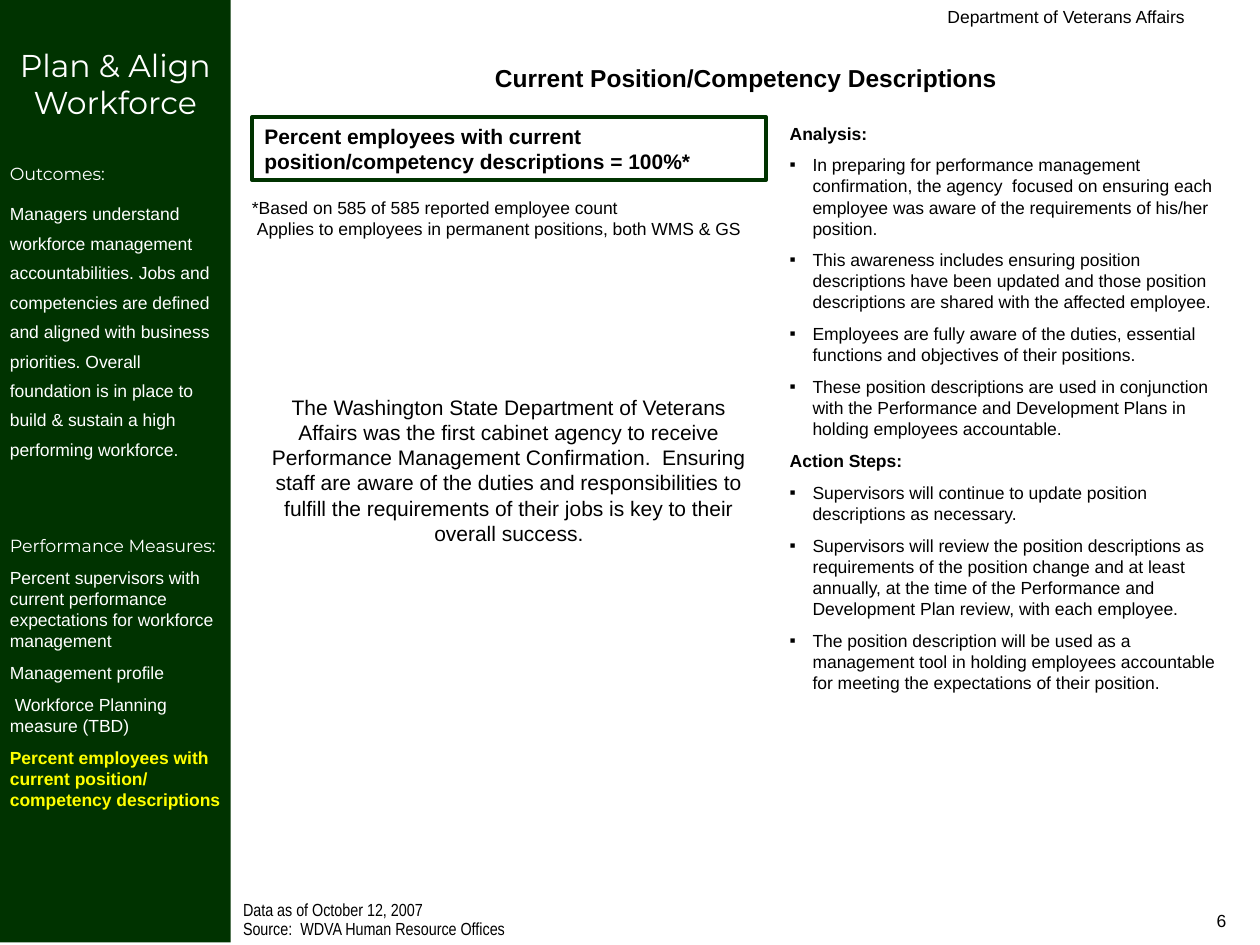
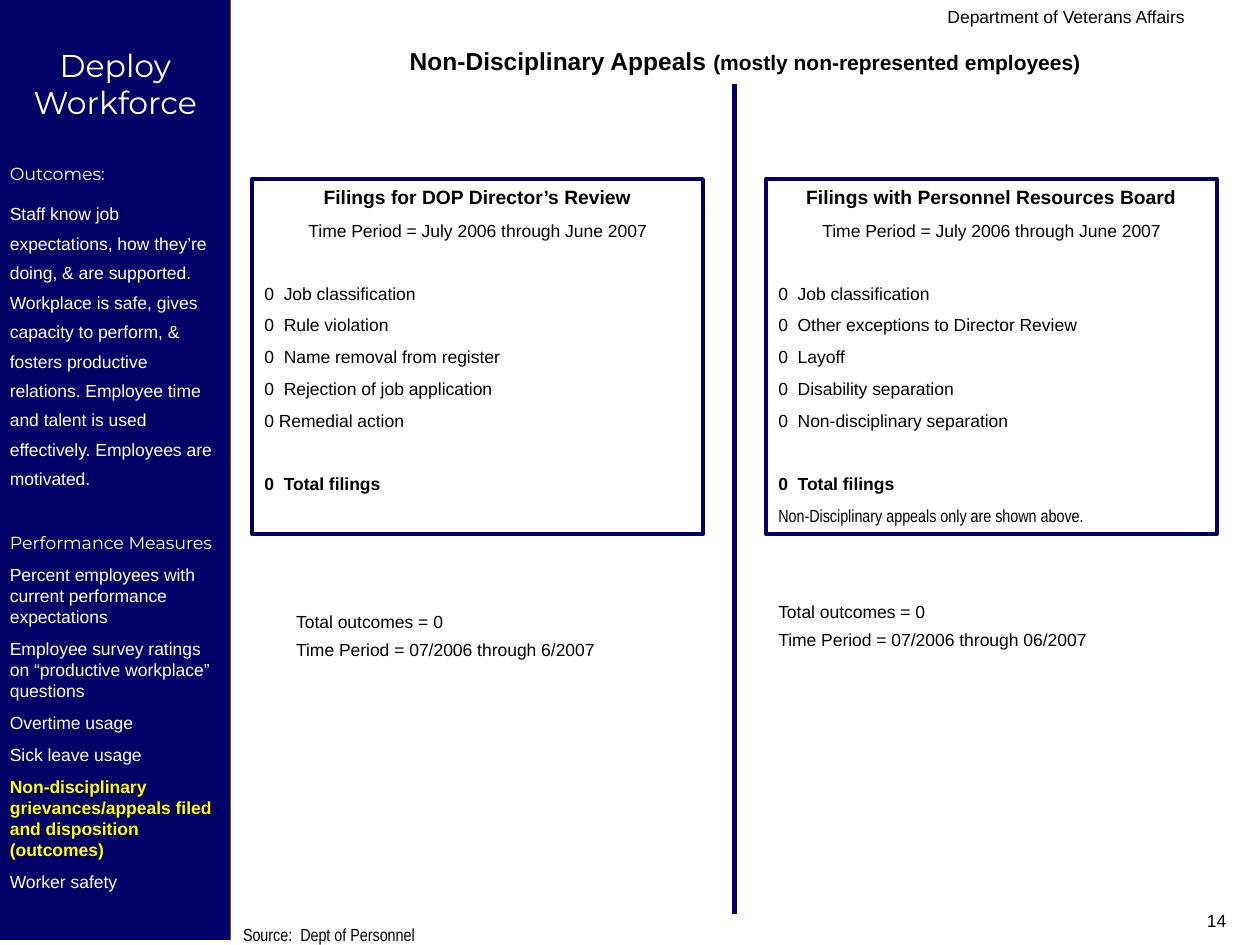
from lxml.etree import SubElement
from pptx import Presentation
from pptx.dml.color import RGBColor
from pptx.enum.shapes import MSO_CONNECTOR as Link, MSO_SHAPE as Form
from pptx.enum.text import MSO_ANCHOR as Anchor, MSO_AUTO_SIZE as Auto, PP_ALIGN as Align
from pptx.oxml.ns import qn
from pptx.util import Cm, Pt

BLACK = RGBColor(0x00, 0x00, 0x00)
WHITE = RGBColor(0xFF, 0xFF, 0xFF)
YELLOW = RGBColor(0xFF, 0xFF, 0x00)
GREEN = RGBColor(0x00, 0x33, 0x00)
NAVY = RGBColor(0x00, 0x00, 0x66)
SANS, SLIM, HEAD = "Arial", "Arial Narrow", "Montserrat"
MID, RIGHT = Align.CENTER, Align.RIGHT
GAP = 6.2     # usual space before a paragraph
SKIP = 24     # space before a new group


def fit(shape, x, y, w, h, fill=None, edge=None):
    """Place a shape, style it and return its text frame."""
    shape.left, shape.top, shape.width, shape.height = Cm(x), Cm(y), Cm(w), Cm(h)
    shape.shadow.inherit = False
    if fill:
        shape.fill.solid()
        shape.fill.fore_color.rgb = fill
    else:
        shape.fill.background()
    if edge:
        shape.line.color.rgb = edge
        shape.line.width = Pt(2.25)
    else:
        shape.line.fill.background()
    frame = shape.text_frame
    frame.word_wrap = True
    frame.auto_size = Auto.NONE
    frame.vertical_anchor = Anchor.TOP
    frame.margin_left = frame.margin_right = Cm(0.25)
    frame.margin_top = frame.margin_bottom = Cm(0.13)
    return frame


def put(frame, text, size=10, font=SANS, color=BLACK, bold=False, align=Align.LEFT,
        gap=GAP, lead=1.0, left=0, first=0, mark=None, join=False):
    """Add a paragraph, or with join a run in the last one."""
    para = frame.paragraphs[-1]
    if not join:
        fresh = not para.runs
        if not fresh:
            para = frame.add_paragraph()
        props = para._p.get_or_add_pPr()
        props.set("marL", str(Cm(left)))
        props.set("indent", str(Cm(first)))
        if mark:
            SubElement(props, qn("a:buChar")).set("char", mark)
        else:
            SubElement(props, qn("a:buNone"))
        para.alignment = align
        para.line_spacing = lead
        para.space_before = Pt(0 if fresh else gap)
    run = para.add_run()
    run.text = text
    run.font.size, run.font.name, run.font.bold = Pt(size), font, bold
    run.font.color.rgb = color


deck = Presentation()
deck.slide_width, deck.slide_height = Cm(25.4), Cm(19.05)

# Sidebar wording; a yellow measure is the one the slide reports on
plan = dict(
    layout=1, fill=GREEN, tall=19, page="6", head="Plan & Align Workforce", space=43,
    goal="Managers understand workforce management accountabilities. Jobs and "
         "competencies are defined and aligned with business priorities. Overall "
         "foundation is in place to build & sustain a high performing workforce.",
    label="Performance Measures:",
    items=["Percent supervisors with current performance expectations for workforce management",
           "Management profile",
           "Workforce Planning measure (TBD)",
           "Percent employees with current position/ competency descriptions"],
    hot=3, shift=2,
    title=(4.88, 1.14, 20.32, 0.86), name="Current Position/Competency Descriptions",
    foot=18.11, source=["Data as of October 12, 2007",
                        "Source:  WDVA Human Resource Offices"])
deploy = dict(
    layout=3, fill=NAVY, tall=18.95, page="14", head="Deploy Workforce", space=24.6,
    goal="Staff know job expectations, how they’re doing, & are supported. Workplace "
         "is safe, gives capacity to perform, & fosters productive relations. Employee "
         "time and talent is used effectively. Employees are motivated.",
    label="Performance Measures",
    items=["Percent employees with current performance expectations",
           "Employee survey ratings on “productive workplace” questions",
           "Overtime usage",
           "Sick leave usage",
           "Non-disciplinary grievances/appeals filed and disposition (outcomes)",
           "Worker safety"],
    hot=4, shift=None,
    title=(4.65, 0.79, 20.75, 0.86), name="Non-Disciplinary Appeals ",
    foot=18.62, source=["Source:  Dept of Personnel"])

# Parts both slides share
slides = []
for part in (plan, deploy):
    slide = deck.slides.add_slide(deck.slide_layouts[part["layout"]])
    shapes = slide.shapes
    slides.append(slide)

    side = fit(shapes.add_shape(Form.RECTANGLE, 0, 0, 0, 0),
               0, 0, 4.65, part["tall"], fill=part["fill"])
    side.margin_left = side.margin_right = Cm(0.2)
    side.margin_top = Cm(0.92)
    put(side, part["head"], size=18, font=HEAD, color=WHITE, align=MID)
    put(side, "Outcomes:", font=HEAD, color=WHITE, gap=SKIP)
    put(side, part["goal"], color=WHITE, lead=1.4)
    put(side, part["label"], font=HEAD, color=WHITE, gap=part["space"])
    for i, item in enumerate(part["items"]):
        hot = i == part["hot"]
        put(side, item, color=YELLOW if hot else WHITE, bold=hot,
            first=0.1 if i == part["shift"] else 0)

    title = fit(shapes.title, *part["title"])
    put(title, part["name"], size=14, bold=True, align=MID)

    foot = fit(shapes.add_textbox(0, 0, 0, 0), 4.65, part["foot"], 12.27, 0.43)
    for line in part["source"]:
        put(foot, line, font=SLIM, gap=2.5, lead=0.7)

    for text, spot in (("Department of Veterans Affairs", (11.43, 0, 12.7, 0.64)),
                       (part["page"], (19.05, 18.21, 5.92, 0.84))):
        put(fit(shapes.add_textbox(0, 0, 0, 0), *spot), text, align=RIGHT)

# Slide 1: key figure, note and message
slide = slides[0]
shapes = slide.shapes
key = fit(shapes.add_shape(Form.RECTANGLE, 0, 0, 0, 0), 5.08, 2.36, 10.36, 1.27, edge=GREEN)
put(key, "Percent employees with current position/competency descriptions = 100%*",
    size=12, bold=True)

note = fit(shapes.add_textbox(0, 0, 0, 0), 4.83, 3.84, 10.54, 1.12)
put(note, "*Based on 585 of 585 reported employee count")
put(note, "Applies to employees in permanent positions, both WMS & GS", gap=0, left=0.1)

news = fit(shapes.add_textbox(0, 0, 0, 0), 5.08, 7.82, 10.36, 3.3)
put(news, "The Washington State Department of Veterans Affairs was the first cabinet agency "
          "to receive Performance Management Confirmation.  Ensuring staff are aware of the "
          "duties and responsibilities to fulfill the requirements of their jobs is key to "
          "their overall success.", size=12, align=MID)

# Slide 1: analysis and action steps
body = fit(slide.placeholders[1], 15.67, 2.34, 9.09, 12.42)
groups = {
    "Analysis:": [
        "In preparing for performance management confirmation, the agency  focused on "
        "ensuring each employee was aware of the requirements of his/her position.",
        "This awareness includes ensuring position descriptions have been updated and those "
        "position descriptions are shared with the affected employee.",
        "Employees are fully aware of the duties, essential functions and objectives of "
        "their positions.",
        "These position descriptions are used in conjunction with the Performance and "
        "Development Plans in holding employees accountable."],
    "Action Steps:": [
        "Supervisors will continue to update position descriptions as necessary.",
        "Supervisors will review the position descriptions as requirements of the position "
        "change and at least annually, at the time of the Performance and Development Plan "
        "review, with each employee.",
        "The position description will be used as a management tool in holding employees "
        "accountable for meeting the expectations of their position."]}
for head, points in groups.items():
    put(body, head, bold=True)
    for point in points:
        put(body, point, left=0.46, first=-0.46, mark="▪")

# Slide 2: title tail and divider
slide = slides[1]
shapes = slide.shapes
put(shapes.title.text_frame, "(mostly non-represented employees)", size=12, bold=True, join=True)
rule = shapes.add_connector(Link.STRAIGHT, Cm(14.81), Cm(1.7), Cm(14.81), Cm(18.42))
rule.line.color.rgb = NAVY
rule.line.width = Pt(3)
SubElement(rule._element.spPr, qn("a:effectLst"))

# Slide 2: filings by type, with their outcomes below
panels = [
    (1, 5.08, "Filings for DOP Director’s Review",
     ["0  Job classification", "0  Rule violation", "0  Name removal from register",
      "0  Rejection of job application", "0 Remedial action"],
     None, (5.72, 12.27, 8.05, 1.17), "6/2007"),
    (2, 15.44, "Filings with Personnel Resources Board",
     ["0  Job classification", "0  Other exceptions to Director Review", "0  Layoff",
      "0  Disability separation", "0  Non-disciplinary separation"],
     "Non-Disciplinary appeals only are shown above.", (15.44, 12.07, 9.32, 1.17), "06/2007")]
for slot, x, head, kinds, remark, spot, end in panels:
    panel = fit(slide.placeholders[slot], x, 3.61, 9.09, 7.16, edge=NAVY)
    put(panel, head, size=11, bold=True, align=MID)
    put(panel, "Time Period = July 2006 through June 2007", align=MID)
    for i, kind in enumerate(kinds):
        put(panel, kind, gap=GAP if i else SKIP)
    put(panel, "0  Total filings", bold=True, gap=SKIP)
    if remark:
        put(panel, remark, font=SLIM)

    total = fit(shapes.add_textbox(0, 0, 0, 0), *spot)
    put(total, "Total outcomes = 0", lead=0.8)
    put(total, f"Time Period = 07/2006 through {end}", lead=0.8)

deck.save("out.pptx")
